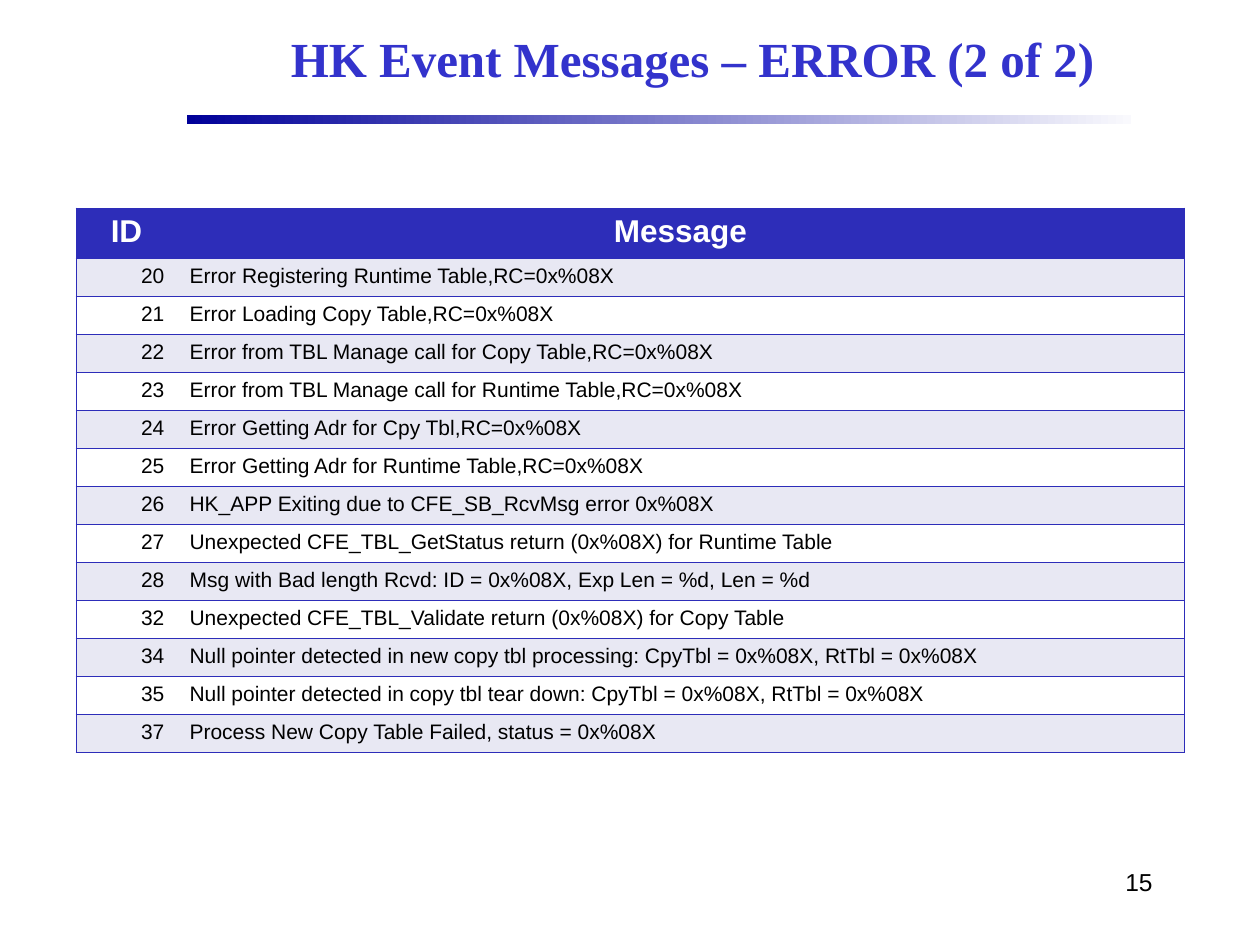
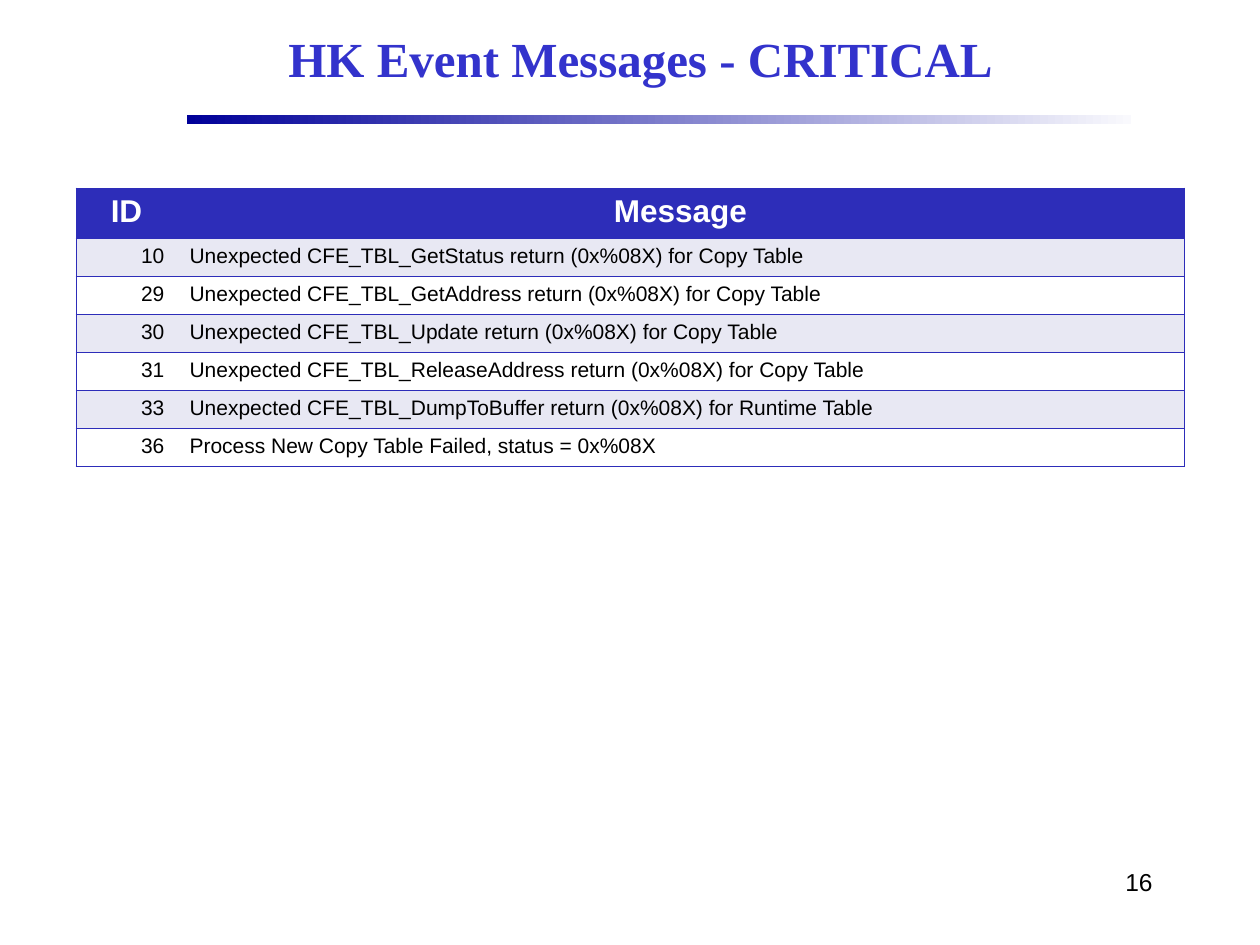
from lxml.etree import SubElement
from pptx import Presentation
from pptx.dml.color import RGBColor
from pptx.enum.shapes import MSO_SHAPE
from pptx.enum.text import MSO_ANCHOR, PP_ALIGN
from pptx.oxml.ns import qn
from pptx.util import Pt

PX = 914400 / 126
COLORS = {
    "title": "3333CC",
    "rule_start": "000099",
    "rule_end": "F9F9FD",
    "header": "2D2DB9",
    "band": "E8E8F3",
    "white": "FFFFFF",
    "text": "000000",
}
BORDER_PT = 0.45
COLUMNS = (101, 1007)
HEADER_H, ROW_H = 50, 38
TABLE_LEFT = 76

ERRORS = [
    ("20", "Error Registering Runtime Table,RC=0x%08X"),
    ("21", "Error Loading Copy Table,RC=0x%08X"),
    ("22", "Error from TBL Manage call for Copy Table,RC=0x%08X"),
    ("23", "Error from TBL Manage call for Runtime Table,RC=0x%08X"),
    ("24", "Error Getting Adr for Cpy Tbl,RC=0x%08X"),
    ("25", "Error Getting Adr for Runtime Table,RC=0x%08X"),
    ("26", "HK_APP Exiting due to CFE_SB_RcvMsg error 0x%08X"),
    ("27", "Unexpected CFE_TBL_GetStatus return (0x%08X) for Runtime Table"),
    ("28", "Msg with Bad length Rcvd: ID = 0x%08X, Exp Len = %d, Len = %d"),
    ("32", "Unexpected CFE_TBL_Validate return (0x%08X) for Copy Table"),
    ("34", "Null pointer detected in new copy tbl processing: CpyTbl = 0x%08X, RtTbl = 0x%08X"),
    ("35", "Null pointer detected in copy tbl tear down: CpyTbl = 0x%08X, RtTbl = 0x%08X"),
    ("37", "Process New Copy Table Failed, status = 0x%08X"),
]
CRITICALS = [
    ("10", "Unexpected CFE_TBL_GetStatus return (0x%08X) for Copy Table"),
    ("29", "Unexpected CFE_TBL_GetAddress return (0x%08X) for Copy Table"),
    ("30", "Unexpected CFE_TBL_Update return (0x%08X) for Copy Table"),
    ("31", "Unexpected CFE_TBL_ReleaseAddress return (0x%08X) for Copy Table"),
    ("33", "Unexpected CFE_TBL_DumpToBuffer return (0x%08X) for Runtime Table"),
    ("36", "Process New Copy Table Failed, status = 0x%08X"),
]


def px(n):
    return round(n * PX)


def emu(*box):
    return [px(n) for n in box]


def rgb(name):
    return RGBColor.from_string(COLORS[name])


def write(tf, text, size, color, align, font="Arial", bold=False):
    tf.text = text
    p = tf.paragraphs[0]
    p.alignment = align
    f = p.runs[0].font
    f.name, f.size, f.bold = font, Pt(size), bold
    f.color.rgb = rgb(color)


def add_title(slide, text, box):
    sp = slide.shapes.title
    sp.left, sp.top, sp.width, sp.height = emu(*box)
    sp.text_frame.vertical_anchor = MSO_ANCHOR.MIDDLE
    write(sp.text_frame, text, 28, "title", PP_ALIGN.CENTER, "Times New Roman", True)


def add_rule(slide, box):
    sp = slide.shapes.add_shape(MSO_SHAPE.RECTANGLE, *emu(*box))
    sp.shadow.inherit = False
    sp.line.fill.background()
    sp.fill.gradient()
    sp.fill.gradient_angle = 0
    for stop, name in zip(sp.fill.gradient_stops, ("rule_start", "rule_end")):
        stop.color.rgb = rgb(name)


def add_page_number(slide, number, box):
    tf = slide.shapes.add_textbox(*emu(*box)).text_frame
    tf.word_wrap = True
    write(tf, str(number), 14, "text", PP_ALIGN.RIGHT)


def set_borders(cell, open_side):
    """Rule the cell on every side but open_side."""
    tc_pr = cell._tc.get_or_add_tcPr()
    for side in "LRTB":
        ln = SubElement(tc_pr, qn(f"a:ln{side}"), w=str(Pt(BORDER_PT)))
        if side == open_side:
            SubElement(ln, qn("a:noFill"))
        else:
            fill = SubElement(ln, qn("a:solidFill"))
            SubElement(fill, qn("a:srgbClr"), val=COLORS["header"])


def add_message_table(slide, messages, left, top):
    rows = [("ID", "Message"), *messages]
    height = HEADER_H + ROW_H * len(messages)
    frame = slide.shapes.add_table(
        len(rows), len(COLUMNS), *emu(left, top, sum(COLUMNS), height))
    table = frame.table
    for column, width in zip(table.columns, COLUMNS):
        column.width = px(width)
    for i, row in enumerate(rows):
        table.rows[i].height = px(ROW_H if i else HEADER_H)
        fill = ("band" if i % 2 else "white") if i else "header"
        for j, text in enumerate(row):
            cell = table.cell(i, j)
            set_borders(cell, "RL"[j])
            cell.fill.solid()
            cell.fill.fore_color.rgb = rgb(fill)
            if i:
                align = (PP_ALIGN.RIGHT, PP_ALIGN.LEFT)[j]
                write(cell.text_frame, text, 12, "text", align)
            else:
                write(cell.text_frame, text, 18, "white", PP_ALIGN.CENTER, bold=True)


def add_message_slide(prs, number, title, title_left, messages, table_top):
    slide = prs.slides.add_slide(prs.slide_layouts[5])
    add_rule(slide, (187, 115, 944, 9))
    add_title(slide, title, (title_left, 10, 903, 95))
    add_page_number(slide, number, (903, 861, 262, 63))
    add_message_table(slide, messages, TABLE_LEFT, table_top)


def main():
    prs = Presentation()
    prs.slide_width, prs.slide_height = emu(1260, 945)
    add_message_slide(prs, 15, "HK Event Messages – ERROR (2 of 2)", 241, ERRORS, 208)
    add_message_slide(prs, 16, "HK Event Messages - CRITICAL", 189, CRITICALS, 188)
    prs.save("out.pptx")


if __name__ == "__main__":
    main()
